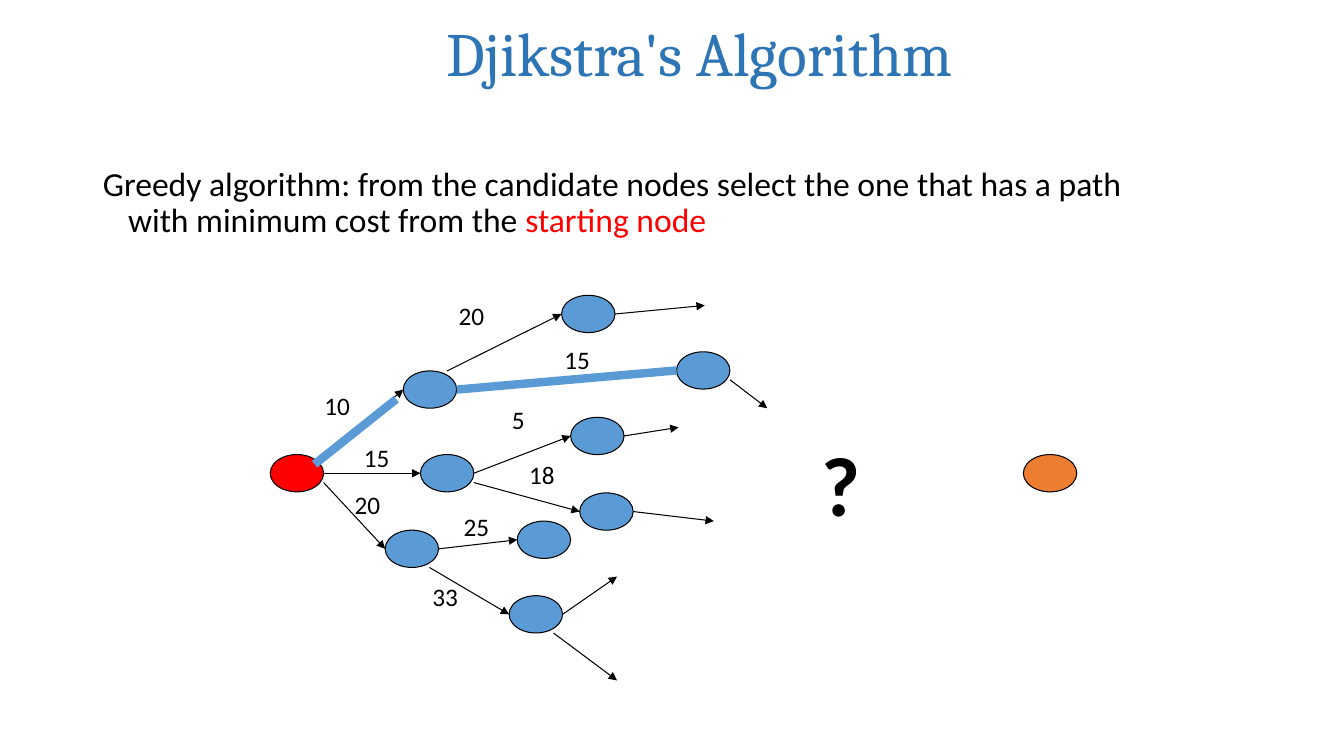
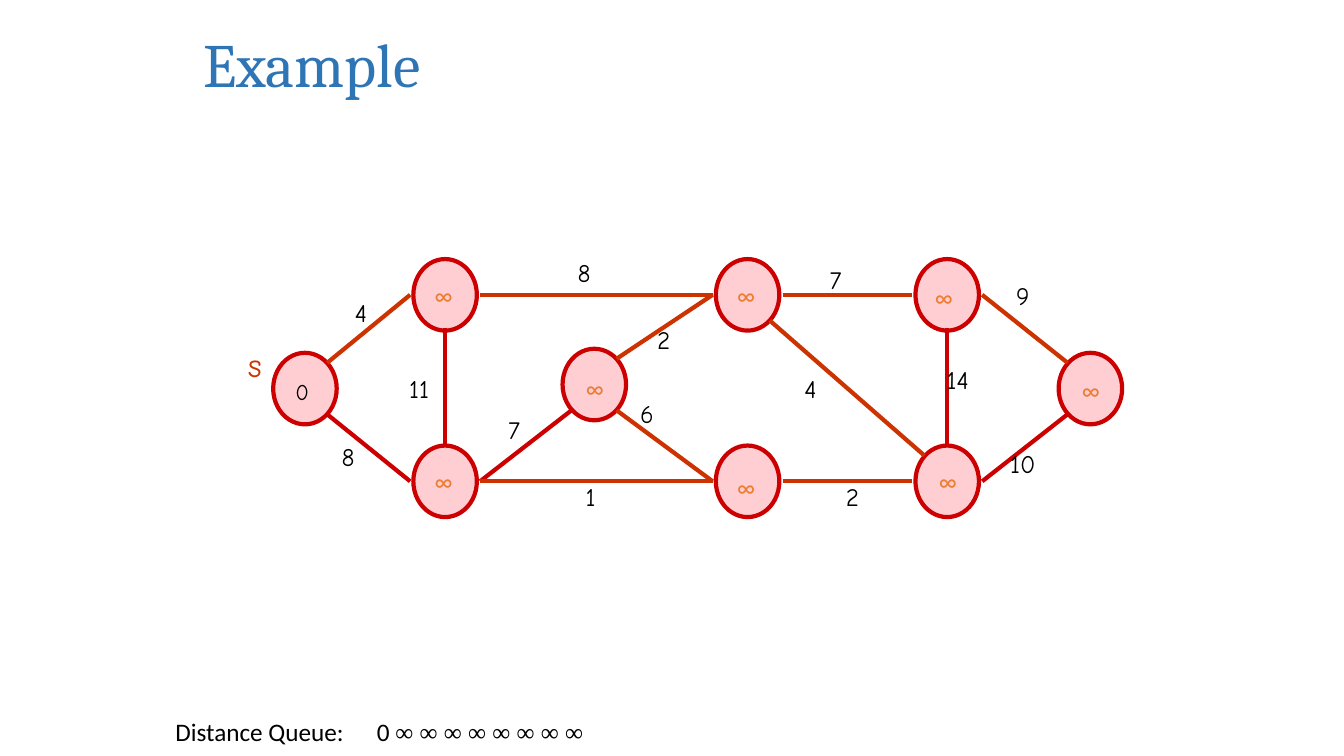
from lxml import etree
from pptx import Presentation
from pptx import util as u
from pptx.dml import color
from pptx.enum import shapes, text
from pptx.oxml import ns

BLACK, RED, ORANGE, BLUE = "000000", "FF0000", "ED7D31", "5B9BD5"
CRIMSON, RUST, PINK = "CC0000", "CC3300", "FECED3"
TITLE = {"size": u.Pt(44), "name": "Cambria", "color": "2E75B6"}
BODY = {"size": u.Pt(24), "name": "Calibri", "color": BLACK}
LABEL = {**BODY, "size": u.Pt(18)}
COMIC = {**LABEL, "name": "Comic Neue"}
INFINITY = {**LABEL, "name": "Lato", "color": ORANGE}


def paint(target, value):
    """Give a fill or font a solid colour from a hex string."""
    if hasattr(target, "solid"):
        target.solid()
        target = target.fore_color
    elif hasattr(target, "color"):
        target = target.color
    target.rgb = color.RGBColor.from_string(value)


def add_span(para, words, style):
    """Append a run formatted from a dict of font values."""
    span = para.add_run()
    span.text = words
    for key, value in style.items():
        if key == "color":
            paint(span.font, value)
        else:
            setattr(span.font, key, value)


def place(shape, box):
    """Move and size a shape to a box in inches."""
    for key, value in zip(("left", "top", "width", "height"), box):
        setattr(shape, key, u.Inches(value))


def add_title(page, words, box, align):
    """Fill and format the title placeholder."""
    title = page.shapes.title
    place(title, box)
    frame = title.text_frame
    for key, value in {"word_wrap": True, "auto_size": text.MSO_AUTO_SIZE.NONE,
                       "vertical_anchor": text.MSO_ANCHOR.MIDDLE}.items():
        setattr(frame, key, value)
    frame.paragraphs[0].alignment = align
    add_span(frame.paragraphs[0], words, TITLE)


def add_body(page, parts, box):
    """Fill the body placeholder with one hanging paragraph."""
    body = page.placeholders[1]
    place(body, box)
    body.text_frame.auto_size = text.MSO_AUTO_SIZE.NONE
    para = body.text_frame.paragraphs[0]
    para.line_spacing = 0.9
    para.space_before = u.Pt(7.2)
    props = para._p.get_or_add_pPr()
    props.set("marL", str(u.Inches(0.25)))
    props.set("indent", str(u.Inches(-0.25)))
    etree.SubElement(props, ns.qn("a:buNone"))
    for words, value in parts:
        add_span(para, words, {**BODY, "color": value})


def add_label(page, words, box, style, wrap=True):
    """Add a text box with one formatted run and return its paragraph."""
    label = page.shapes.add_textbox(*map(u.Inches, box))
    label.text_frame.word_wrap = wrap
    para = label.text_frame.paragraphs[0]
    add_span(para, words, style)
    return para


def add_node(page, box, fill, line, weight):
    """Add an outlined ellipse."""
    node = page.shapes.add_shape(shapes.MSO_SHAPE.OVAL, *map(u.Inches, box))
    node.shadow.inherit = False
    paint(node.fill, fill)
    paint(node.line.fill, line)
    node.line.width = u.Pt(weight)


def add_edge(page, start, end, line, weight, arrow=False):
    """Add a straight connector, with an arrowhead if asked."""
    edge = page.shapes.add_connector(
        shapes.MSO_CONNECTOR.STRAIGHT, *map(u.Inches, (*start, *end)))
    paint(edge.line.fill, line)
    edge.line.width = u.Pt(weight)
    if arrow:
        etree.SubElement(edge.line._get_or_add_ln(), ns.qn("a:tailEnd"), type="triangle")
    etree.SubElement(edge._element.spPr, ns.qn("a:effectLst"))


def anchor(corner, size, share):
    """Return the point at a share of a node's width and height."""
    return tuple(c + s * f for c, s, f in zip(corner, size, share))


def draw_search_tree(page, left, top):
    """Draw the partly explored tree from the start node to the goal."""
    size = (0.53, 0.37)
    sides = {"e": (1, 0.5), "w": (0, 0.5), "se": (1, 0.75), "ne": (0.83, 0.26),
             "n": (0.82, 0), "s": (0.83, 1)}
    nodes = {
        "start": (0.68, 2.51, RED), "goal": (8.15, 2.51, ORANGE),
        "a": (2, 1.68, BLUE), "b": (2.17, 2.51, BLUE), "c": (1.82, 3.26, BLUE),
        "a1": (3.57, 0.93, BLUE), "a2": (4.71, 1.49, BLUE),
        "b1": (3.66, 2.14, BLUE), "b2": (3.75, 2.89, BLUE),
        "c1": (3.13, 3.17, BLUE), "c2": (3.05, 3.91, BLUE)}
    edges = [
        ("start", "ne", "a", "10", 1.12, 1.82), ("start", "e", "b", "15", 1.51, 2.34),
        ("start", "se", "c", "20", 1.42, 2.81), ("a", "n", "a1", "20", 2.45, 0.93),
        ("a", "e", "a2", "15", 3.5, 1.37), ("b", "e", "b1", "5", 2.98, 1.96),
        ("b", "se", "b2", "18", 3.15, 2.51), ("c", "e", "c1", "25", 2.5, 3.02),
        ("c", "s", "c2", "33", 2.19, 3.72)]
    stubs = [("a1", "e", 4.99, 1.03), ("a2", "se", 5.61, 2.05), ("b1", "e", 4.73, 2.24),
             ("b2", "e", 5.08, 3.17), ("c2", "e", 4.12, 3.72), ("c2", "s", 4.12, 4.75)]
    corners = {name: (left + x, top + y) for name, (x, y, _) in nodes.items()}

    def point(name, side):
        return anchor(corners[name], size, sides[side])

    for name, (*_, fill) in nodes.items():
        add_node(page, (*corners[name], *size), fill, BLACK, 0.75)
    for source, side, target, cost, x, y in edges:
        add_edge(page, point(source, side), point(target, "w"), BLACK, 0.75, True)
        add_label(page, cost, (left + x, top + y, 0.56, 0.45), LABEL)
    for source, side, x, y in stubs:
        add_edge(page, point(source, side), (left + x, top + y), BLACK, 0.75, True)
    add_edge(page, point("start", "ne"), (left + 1.93, top + 1.96), BLUE, 6)
    add_edge(page, point("a", "e"), point("a2", "w"), BLUE, 6)
    add_label(page, "?", (left + 6.05, top + 2.24, 0.62, 1.24),
              {**LABEL, "size": u.Pt(60), "bold": True}, False)


def draw_weighted_graph(page, left, top):
    """Draw the undirected example graph with its initial distances."""
    size = (0.63, 0.71)
    sides = {"e": (1.05, 0.5), "w": (-0.05, 0.5), "n": (0.5, 0.01), "s": (0.5, 0.97),
             "ne": (0.85, 0.14), "se": (0.85, 0.86), "nw": (0.14, 0.14), "sw": (0.14, 0.86)}
    upper, lower = 0.57, 2.42
    first, second, third = 2.1, 5.1, 7.08
    nodes = {
        "start": (0.71, 1.5, 0.12, 0.2), "hub": (3.58, 1.46, 0.13, 0.19),
        "up1": (first, upper, 0.11, 0.16), "low1": (first, lower, 0.11, 0.16),
        "up2": (second, upper, 0.11, 0.16), "low2": (second, lower, 0.11, 0.22),
        "up3": (third, upper, 0.09, 0.18), "low3": (third, lower, 0.13, 0.16),
        "end": (8.5, 1.5, 0.13, 0.17)}
    edges = [
        ("start", "ne", "up1", "w", RUST, "4", 1.42, 0.9),
        ("start", "se", "low1", "w", CRIMSON, "8", 1.29, 2.33),
        ("up1", "s", "low1", "n", CRIMSON, "11", 1.96, 1.65),
        ("up1", "e", "up2", "w", RUST, "8", 3.63, 0.5),
        ("hub", "ne", "up2", "w", RUST, "2", 4.42, 1.17),
        ("low1", "e", "hub", "sw", CRIMSON, "7", 2.94, 2.06),
        ("hub", "se", "low2", "w", RUST, "6", 4.25, 1.9),
        ("low1", "e", "low2", "w", RUST, "1", 3.71, 2.73),
        ("up2", "e", "up3", "w", RUST, "7", 6.13, 0.57),
        ("up2", "se", "low3", "nw", RUST, "4", 5.88, 1.65),
        ("low2", "e", "low3", "w", RUST, "2", 6.29, 2.73),
        ("up3", "s", "low3", "n", CRIMSON, "14", 7.29, 1.57),
        ("up3", "e", "end", "nw", RUST, "9", 7.98, 0.73),
        ("low3", "e", "end", "sw", CRIMSON, "10", 7.92, 2.4)]
    corners = {name: (left + x, top + y) for name, (x, y, *_) in nodes.items()}
    for name, (*_, dx, dy) in nodes.items():
        x, y = corners[name]
        add_node(page, (x, y, *size), PINK, CRIMSON, 3)
        words, style = ("0", {**COMIC, "size": u.Pt(16)}) if name == "start" else ("∞", INFINITY)
        add_label(page, words, (x + dx, y + dy, 0.88, 0.4), style)
    for source, out, target, into, line, cost, x, y in edges:
        add_edge(page, anchor(corners[source], size, sides[out]),
                 anchor(corners[target], size, sides[into]), line, 3)
        add_label(page, cost, (left + x, top + y, 0.88, 0.4), COMIC)
    add_label(page, "s", (left + 0.36, top + 1.36, 0.88, 0.51),
              {**COMIC, "size": u.Pt(24), "color": RUST})


def add_queue(page, box):
    """Add the distance queue line, its values set at a tab stop."""
    para = add_label(page, "Distance Queue:\t0 ", box, LABEL, False)
    stops = etree.SubElement(para._p.get_or_add_pPr(), ns.qn("a:tabLst"))
    etree.SubElement(stops, ns.qn("a:tab"), pos=str(u.Inches(2)), algn="l")
    add_span(para, " ".join("∞" * 8), {**LABEL, "name": "Times New Roman"})


def build_algorithm(deck):
    """Build the slide on the greedy choice."""
    page = deck.slides.add_slide(deck.slide_layouts[1])
    add_title(page, "Djikstra's Algorithm", (2, 0.09, 9.88, 0.85), text.PP_ALIGN.CENTER)
    add_body(page, [("Greedy algorithm: from the candidate nodes select the one that has "
                     "a path with minimum cost from the ", BLACK), ("starting node", RED)],
             (0.92, 1.61, 10.72, 0.97))
    draw_search_tree(page, 2, 2)


def build_example(deck):
    """Build the slide with the example graph."""
    page = deck.slides.add_slide(deck.slide_layouts[5])
    add_title(page, "Example", (1.92, 0, 9.5, 1.25), text.PP_ALIGN.LEFT)
    draw_weighted_graph(page, 2, 2)
    add_queue(page, (1.64, 7.06, 4.28, 0.4))


def main():
    """Build and save the deck."""
    deck = Presentation()
    deck.slide_width, deck.slide_height = u.Inches(13.33), u.Inches(7.5)
    build_algorithm(deck)
    build_example(deck)
    deck.save("out.pptx")


if __name__ == "__main__":
    main()
